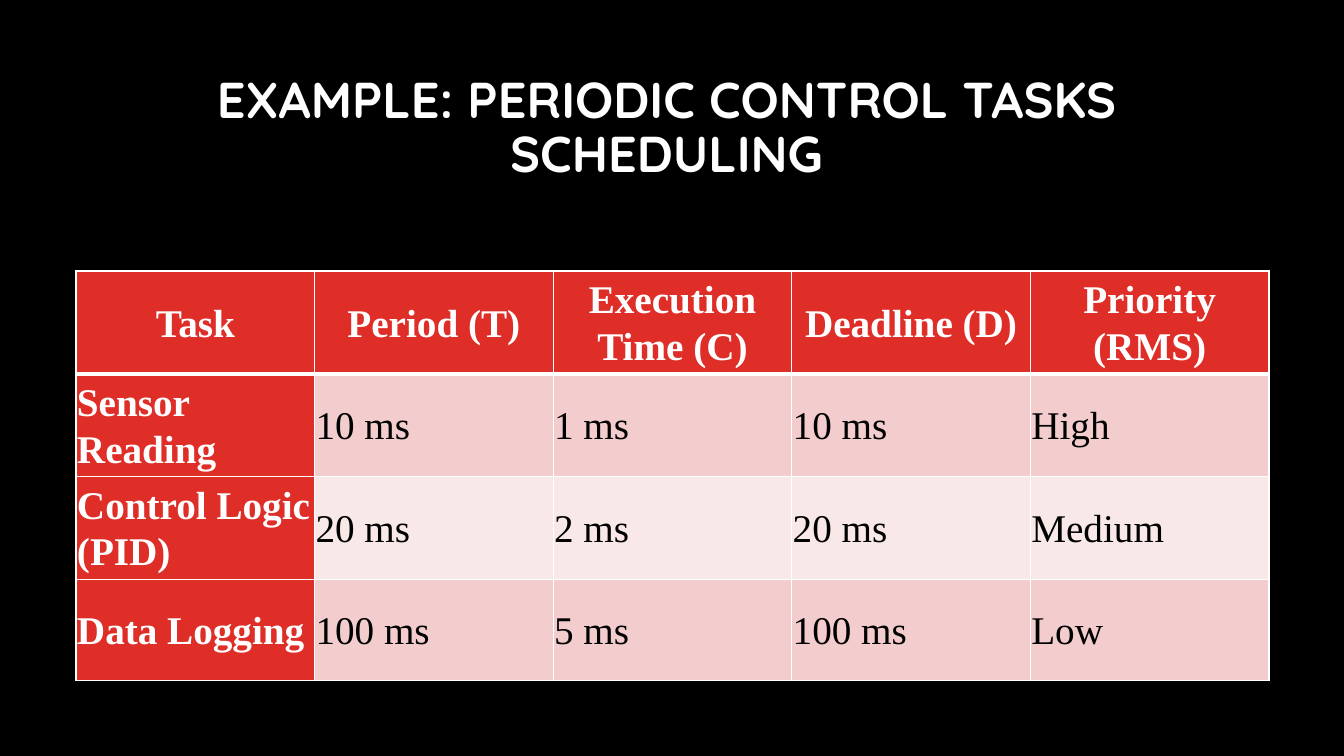
from lxml import etree
from pptx import Presentation
from pptx.dml.color import RGBColor
from pptx.enum.text import MSO_ANCHOR, PP_ALIGN
from pptx.oxml.ns import qn
from pptx.util import Pt

SLIDE_WIDTH, SLIDE_HEIGHT = 1344, 756
EMU_PER_PX = 12192000 / SLIDE_WIDTH

BLACK = RGBColor(0x00, 0x00, 0x00)
WHITE = RGBColor(0xFF, 0xFF, 0xFF)
RED = RGBColor(0xDF, 0x2E, 0x28)
PINK = RGBColor(0xF3, 0xCD, 0xCD)
PALE_PINK = RGBColor(0xF9, 0xE8, 0xE8)

CENTER, LEFT = PP_ALIGN.CENTER, PP_ALIGN.LEFT
MIDDLE = MSO_ANCHOR.MIDDLE

TASK_ROWS = [
    ["Task", "Period (T)", "Execution Time (C)", "Deadline (D)", "Priority (RMS)"],
    ["Sensor Reading", "10 ms", "1 ms", "10 ms", "High"],
    ["Control Logic (PID)", "20 ms", "2 ms", "20 ms", "Medium"],
    ["Data Logging", "100 ms", "5 ms", "100 ms", "Low"],
]


def px(length):
    return round(length * EMU_PER_PX)


class SlideBuilder:
    title_font, title_size = "Quicksand", Pt(36)
    table_font, table_size = "Times New Roman", Pt(28)
    thin, thick = Pt(1), Pt(3)

    def __init__(self, slide, background):
        self.slide = slide
        slide.background.fill.solid()
        slide.background.fill.fore_color.rgb = background

    def style(self, paragraph, font_name, size, color, bold, align, spacing):
        paragraph.alignment = align
        paragraph.line_spacing = spacing
        font = paragraph.font
        font.name, font.size, font.bold = font_name, size, bold
        font.color.rgb = color

    def title(self, text, left, top, width, height, bottom_inset):
        frame = self.slide.shapes.add_textbox(
            px(left), px(top), px(width), px(height)).text_frame
        frame.word_wrap = True
        frame.vertical_anchor = MIDDLE
        frame.margin_bottom = px(bottom_inset)
        frame.text = text
        self.style(frame.paragraphs[0], self.title_font, self.title_size,
                   WHITE, True, CENTER, 0.9)

    def table(self, rows, left, top, width, height):
        table = self.slide.shapes.add_table(
            len(rows), len(rows[0]), px(left), px(top), px(width), px(height)).table
        for r, row in enumerate(rows):
            for c, text in enumerate(row):
                self.cell(table.cell(r, c), text, r, c)

    def cell(self, cell, text, row, column):
        is_heading = row == 0 or column == 0
        body_fill = PINK if row % 2 else PALE_PINK
        cell.fill.solid()
        cell.fill.fore_color.rgb = RED if is_heading else body_fill
        cell.vertical_anchor = MIDDLE
        cell.margin_left = cell.margin_right = px(1)
        cell.margin_top = cell.margin_bottom = px(1)
        cell.text = text
        self.style(cell.text_frame.paragraphs[0], self.table_font, self.table_size,
                   WHITE if is_heading else BLACK, is_heading,
                   CENTER if row == 0 else LEFT, 1.07)
        # The rule under the header row is thicker than the others
        self.borders(cell, top=self.thick if row == 1 else self.thin,
                     bottom=self.thick if row == 0 else self.thin)

    def borders(self, cell, top, bottom):
        properties = cell._tc.get_or_add_tcPr()
        sides = [("a:lnL", self.thin), ("a:lnR", self.thin),
                 ("a:lnT", top), ("a:lnB", bottom)]
        for position, (tag, line_width) in enumerate(sides):
            line = etree.Element(qn(tag), w=str(int(line_width)))
            fill = etree.SubElement(line, qn("a:solidFill"))
            etree.SubElement(fill, qn("a:srgbClr"), val=str(WHITE))
            properties.insert(position, line)


def main():
    presentation = Presentation()
    presentation.slide_width = px(SLIDE_WIDTH)
    presentation.slide_height = px(SLIDE_HEIGHT)
    blank_layout = presentation.slide_layouts[6]
    builder = SlideBuilder(presentation.slides.add_slide(blank_layout), BLACK)

    # Title, raised within its box by the bottom inset
    builder.title("EXAMPLE: PERIODIC CONTROL TASKS SCHEDULING",
                  65, 85, 1203, 142, bottom_inset=59)

    # Task scheduling table
    builder.table(TASK_ROWS, 76, 271, 1193, 404)

    presentation.save("out.pptx")


if __name__ == "__main__":
    main()
